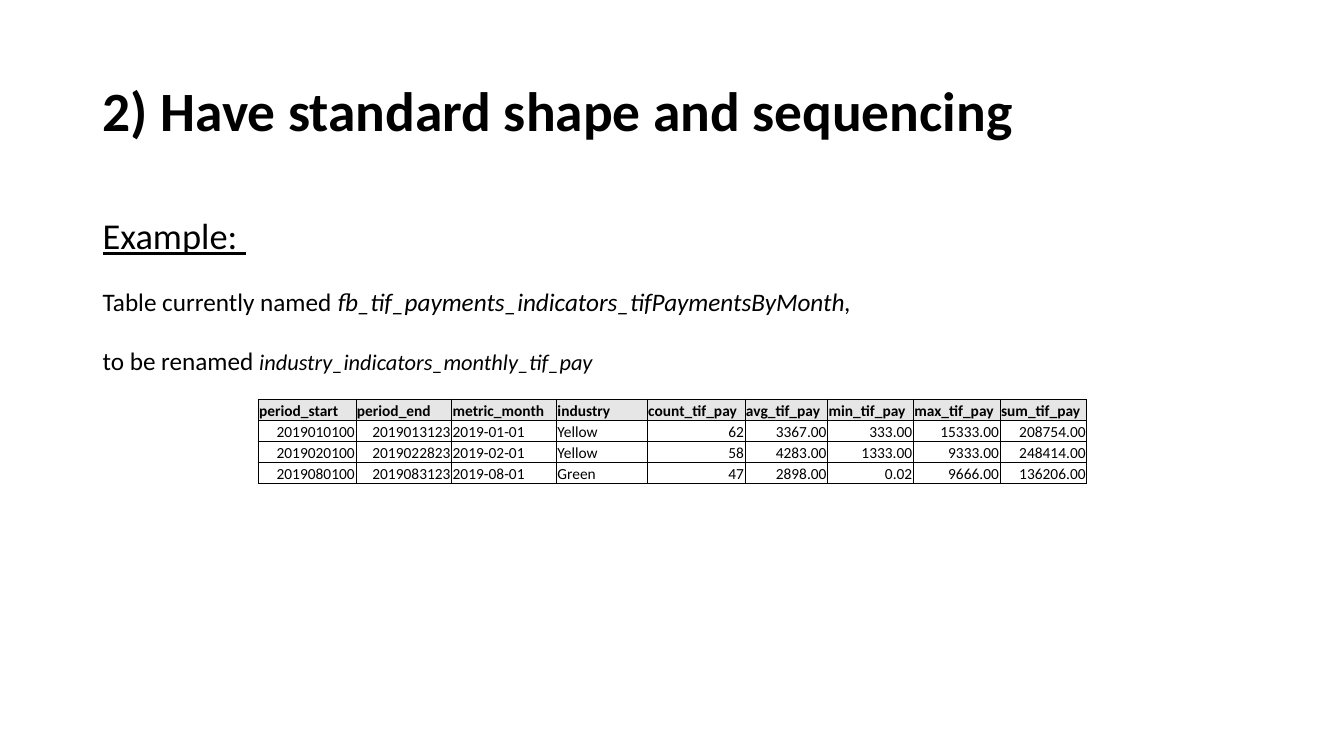
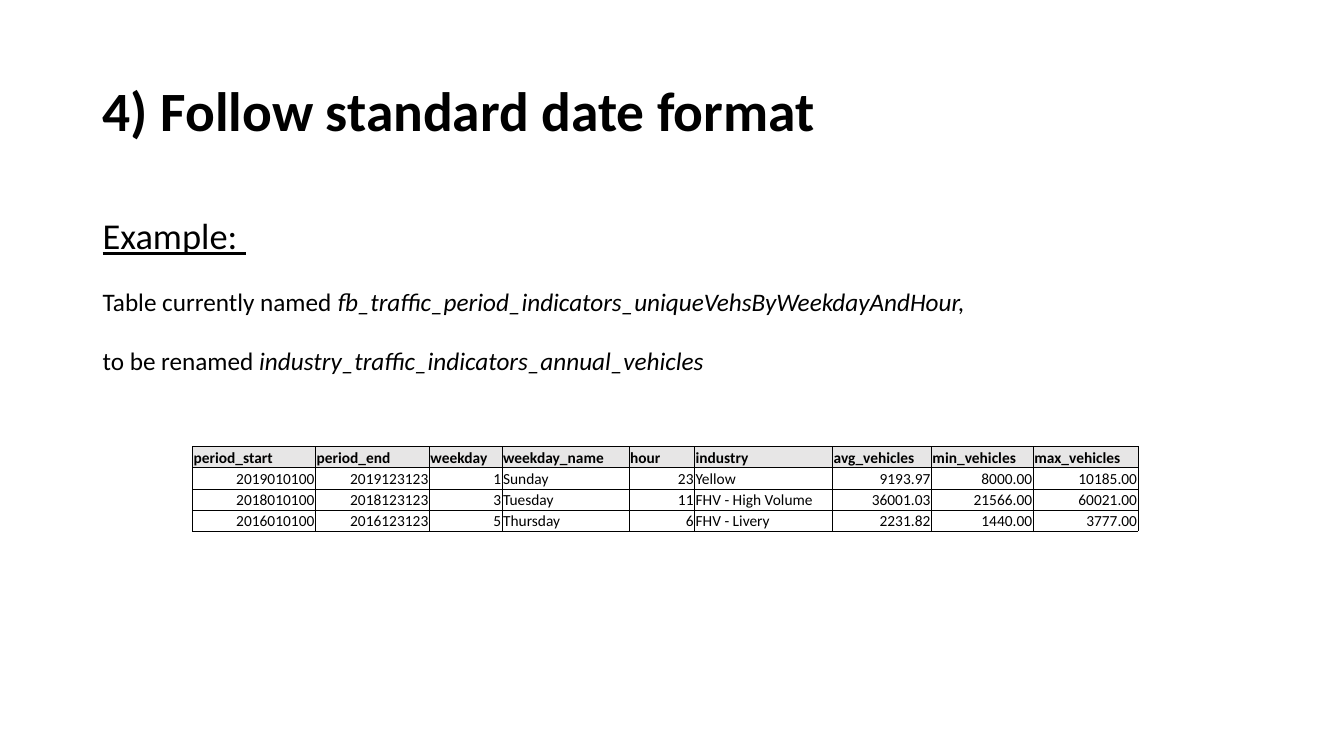
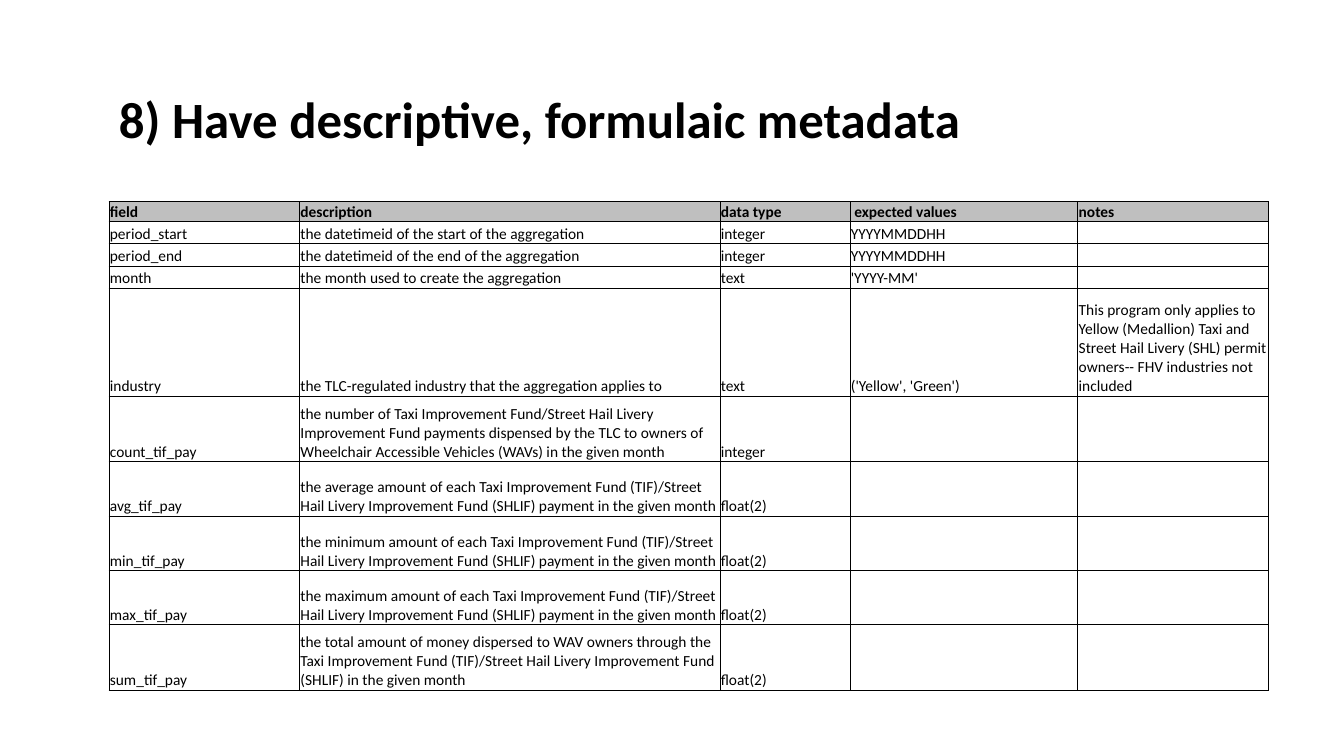
"""Build three slides on data table naming, dates and metadata."""
from dataclasses import dataclass

from lxml.etree import SubElement
from pptx import Presentation
from pptx.dml.color import RGBColor
from pptx.enum.text import MSO_ANCHOR, MSO_AUTO_SIZE, PP_ALIGN
from pptx.oxml.ns import qn
from pptx.slide import Slide
from pptx.util import Inches, Pt


@dataclass(frozen=True)
class Theme:
    font: str = "Calibri"
    ink: str = "000000"
    paper: str = "FFFFFF"
    light_head: str = "E7E6E6"
    dark_head: str = "BFBFBF"
    title: float = 39.6
    small_title: float = 36.3
    heading: float = 26
    body: float = 18
    small_body: float = 16
    cell: float = 11
    border: float = 0.5


@dataclass(frozen=True)
class Title:
    text: str
    left: float = 0.92
    top: float = 0.4
    size: float = Theme.title
    spacing: float = 0.9
    bottom_inset: float = 0.05


@dataclass(frozen=True)
class Rename:
    old: str
    new: str
    new_size: float = Theme.body


@dataclass(frozen=True)
class Grid:
    left: float
    top: float
    cols: list[float]
    rows: list[float]
    cells: list[list[str]]
    head_fill: str = Theme.light_head


THEME = Theme()


def style(font, size: float, bold: bool = False) -> None:
    font.name, font.size, font.bold = THEME.font, Pt(size), bold
    font.color.rgb = RGBColor.from_string(THEME.ink)


def add_title(slide: Slide, title: Title) -> None:
    sp = slide.shapes.title
    sp.left, sp.top = Inches(title.left), Inches(title.top)
    sp.width, sp.height = Inches(11.5), Inches(1.45)
    tf = sp.text_frame
    tf.text = title.text
    tf.auto_size = MSO_AUTO_SIZE.NONE
    tf.vertical_anchor = MSO_ANCHOR.MIDDLE
    tf.margin_bottom = Inches(title.bottom_inset)
    p = tf.paragraphs[0]
    p.alignment, p.line_spacing = PP_ALIGN.LEFT, title.spacing
    style(p.font, title.size, bold=True)


def add_rename(slide: Slide, rename: Rename) -> None:
    sp = slide.shapes.add_textbox(Inches(0.92), Inches(1.85), Inches(11.5), Inches(2.13))
    tf = sp.text_frame
    tf.word_wrap = True
    p = tf.paragraphs[0]
    p.text = "Example: "
    style(p.font, THEME.heading)
    p.font.underline = True
    for lead, name, size in (
        ("Table currently named ", f"{rename.old}, ", THEME.body),
        ("to be renamed ", rename.new, rename.new_size),
    ):
        p = tf.add_paragraph()
        style(p.font, THEME.body)
        p.add_run().text = lead
        r = p.add_run()
        r.text = name
        r.font.italic, r.font.size = True, Pt(size)
    for p in tf.paragraphs:
        p.line_spacing, p.space_before = 1.5, Pt(10)


def add_borders(cell) -> None:
    tc_pr = cell._tc.get_or_add_tcPr()
    for side in ("lnL", "lnR", "lnT", "lnB"):
        ln = SubElement(tc_pr, qn(f"a:{side}"), w=str(Pt(THEME.border)))
        SubElement(SubElement(ln, qn("a:solidFill")), qn("a:srgbClr"), val=THEME.ink)


def fill_cell(cell, text: str, fill: str, bold: bool) -> None:
    add_borders(cell)
    cell.fill.solid()
    cell.fill.fore_color.rgb = RGBColor.from_string(fill)
    cell.vertical_anchor = MSO_ANCHOR.BOTTOM
    cell.margin_left = cell.margin_right = cell.margin_top = Inches(0.01)
    cell.margin_bottom = 0
    cell.text = text
    p = cell.text_frame.paragraphs[0]
    style(p.font, THEME.cell, bold)
    if text.replace(".", "").isdigit():
        p.alignment = PP_ALIGN.RIGHT


def add_grid(slide: Slide, grid: Grid) -> None:
    table = slide.shapes.add_table(
        len(grid.rows), len(grid.cols), Inches(grid.left), Inches(grid.top),
        Inches(sum(grid.cols)), Inches(sum(grid.rows)),
    ).table
    table.first_row = table.horz_banding = False
    for col, width in zip(table.columns, grid.cols):
        col.width = Inches(width)
    for i, (row, height) in enumerate(zip(table.rows, grid.rows)):
        row.height = Inches(height)
        fill = THEME.paper if i else grid.head_fill
        for cell, text in zip(row.cells, grid.cells[i]):
            fill_cell(cell, text, fill, bold=i == 0)


def tif_amount(kind: str) -> str:
    return (f"the {kind} amount of each Taxi Improvement Fund (TIF)/Street Hail Livery "
            "Improvement Fund (SHLIF) payment in the given month")


PAYMENTS = Grid(
    2.56, 3.96, [0.97, 0.95, 1.04, 0.9, 0.97, 0.82, 0.85, 0.86, 0.86], [0.21] * 4,
    [
        ["period_start", "period_end", "metric_month", "industry", "count_tif_pay",
         "avg_tif_pay", "min_tif_pay", "max_tif_pay", "sum_tif_pay"],
        ["2019010100", "2019013123", "2019-01-01", "Yellow", "62",
         "3367.00", "333.00", "15333.00", "208754.00"],
        ["2019020100", "2019022823", "2019-02-01", "Yellow", "58",
         "4283.00", "1333.00", "9333.00", "248414.00"],
        ["2019080100", "2019083123", "2019-08-01", "Green", "47",
         "2898.00", "0.02", "9666.00", "136206.00"],
    ],
)
VEHICLES = Grid(
    1.91, 4.43, [1.22, 1.13, 0.72, 1.26, 0.65, 1.37, 0.98, 1.01, 1.04], [0.21] * 4,
    [
        ["period_start", "period_end", "weekday", "weekday_name", "hour", "industry",
         "avg_vehicles", "min_vehicles", "max_vehicles"],
        ["2019010100", "2019123123", "1", "Sunday", "23", "Yellow",
         "9193.97", "8000.00", "10185.00"],
        ["2018010100", "2018123123", "3", "Tuesday", "11", "FHV - High Volume",
         "36001.03", "21566.00", "60021.00"],
        ["2016010100", "2016123123", "5", "Thursday", "6", "FHV - Livery",
         "2231.82", "1440.00", "3777.00"],
    ],
)
METADATA = Grid(
    1.08, 2, [1.89, 4.17, 1.29, 2.26, 1.89],
    [0.12, 0.22, 0.22, 0.22, 1.07, 0.65, 0.54, 0.54, 0.54, 0.65],
    [
        ["field", "description", "data type", " expected values", "notes"],
        ["period_start", "the datetimeid of the start of the aggregation", "integer",
         "YYYYMMDDHH", ""],
        ["period_end", "the datetimeid of the end of the aggregation", "integer",
         "YYYYMMDDHH", ""],
        ["month", "the month used to create the aggregation", "text", "'YYYY-MM'", ""],
        ["industry", "the TLC-regulated industry that the aggregation applies to", "text",
         "('Yellow', 'Green')",
         "This program only applies to Yellow (Medallion) Taxi and Street Hail Livery "
         "(SHL) permit owners-- FHV industries not included"],
        ["count_tif_pay",
         "the number of Taxi Improvement Fund/Street Hail Livery Improvement Fund payments "
         "dispensed by the TLC to owners of Wheelchair Accessible Vehicles (WAVs) in the "
         "given month", "integer", "", ""],
        ["avg_tif_pay", tif_amount("average"), "float(2)", "", ""],
        ["min_tif_pay", tif_amount("minimum"), "float(2)", "", ""],
        ["max_tif_pay", tif_amount("maximum"), "float(2)", "", ""],
        ["sum_tif_pay",
         "the total amount of money dispersed to WAV owners through the Taxi Improvement "
         "Fund (TIF)/Street Hail Livery Improvement Fund (SHLIF) in the given month",
         "float(2)", "", ""],
    ],
    THEME.dark_head,
)
SLIDES = [
    (Title("2) Have standard shape and sequencing"),
     Rename("fb_tif_payments_indicators_tifPaymentsByMonth",
            "industry_indicators_monthly_tif_pay", THEME.small_body),
     PAYMENTS),
    (Title("4) Follow standard date format"),
     Rename("fb_traffic_period_indicators_uniqueVehsByWeekdayAndHour",
            "industry_traffic_indicators_annual_vehicles"),
     VEHICLES),
    (Title("8) Have descriptive, formulaic metadata", 1.08, 0.57, THEME.small_title, 0.7, 0.15),
     None, METADATA),
]


def main() -> None:
    prs = Presentation()
    prs.slide_width, prs.slide_height = Inches(13.33), Inches(7.5)
    for title, rename, grid in SLIDES:
        slide = prs.slides.add_slide(prs.slide_layouts[5])
        add_title(slide, title)
        if rename:
            add_rename(slide, rename)
        add_grid(slide, grid)
    prs.save("out.pptx")


main()
